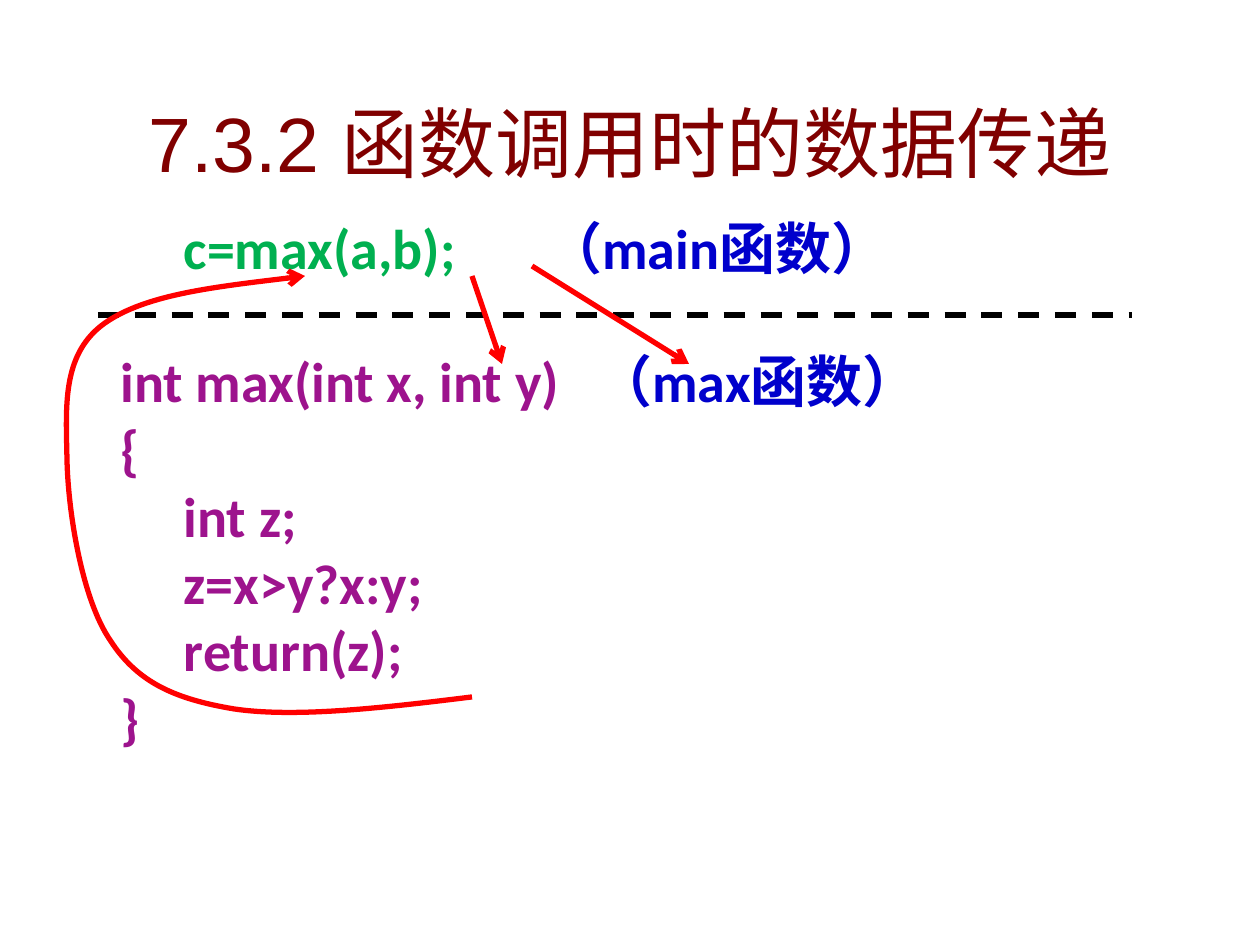
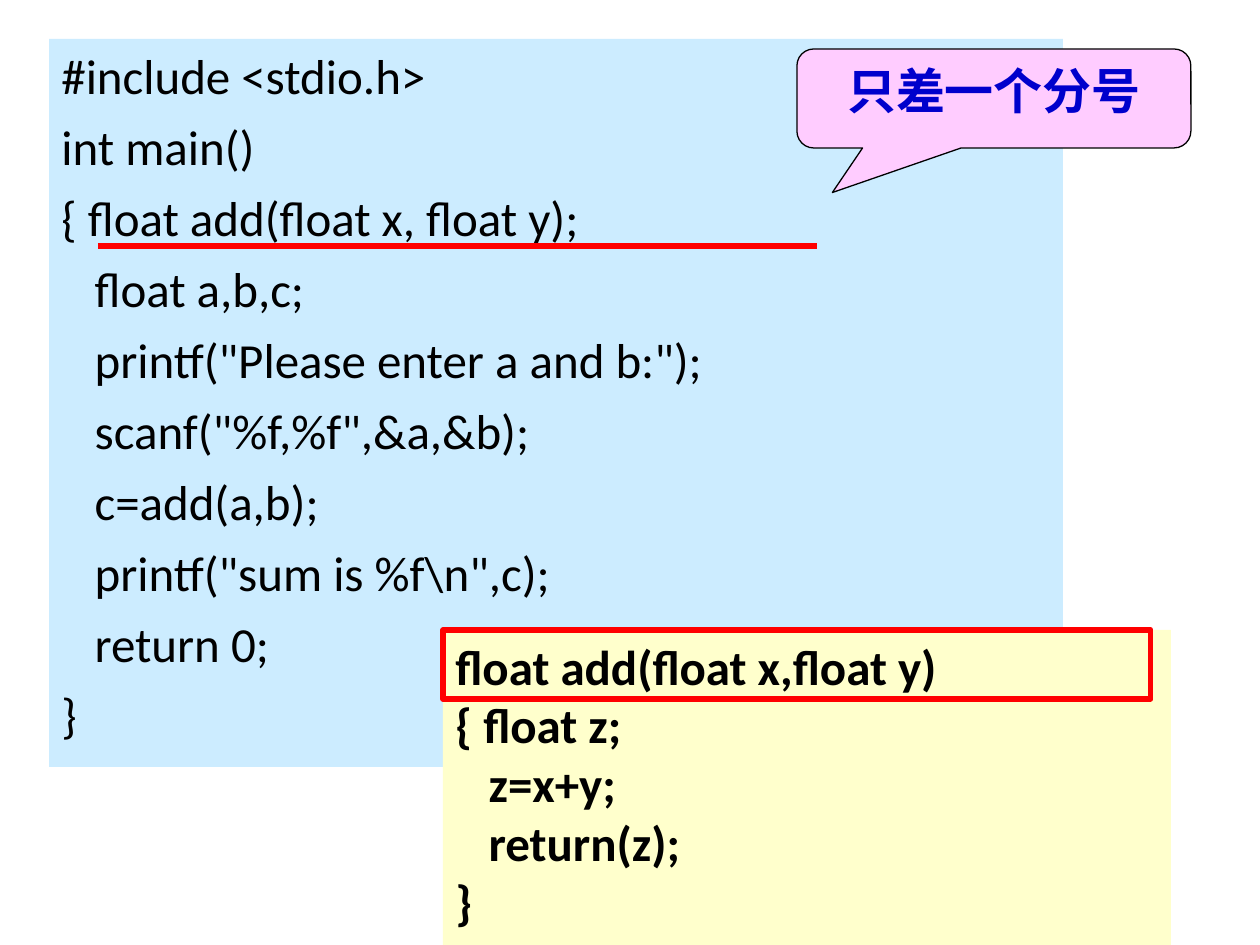
import pptx
import pptx.dml.color
import pptx.enum.dml
import pptx.enum.shapes
import pptx.enum.text
import pptx.oxml.ns
import pptx.oxml.xmlchemy
import pptx.util

PX = 914400 // 126
SHAPE = pptx.enum.shapes.MSO_SHAPE
ALIGN = pptx.enum.text.PP_ALIGN
ANCHOR = pptx.enum.text.MSO_ANCHOR

RED, BLACK, BLUE = "FF0000", "000000", "0000CC"
GREEN, PURPLE, MAROON = "00B050", "9D138D", "800000"
HEAVY = 3

# Formats
TITLE = dict(size=44, name="Arial", color=MAROON)
CALL_CODE = dict(size=32, name="Calibri", bold=True)
MAIN_CODE = dict(size=28, name="Calibri", color=BLACK)
ADD_CODE = dict(MAIN_CODE, bold=True)
NOTE = dict(size=28, name="Arial", bold=True, color=BLUE)

# Slide 1: each line is (runs, tab stop in px, space before in points)
TITLE_TEXT = "7.3.2 函数调用时的数据传递"
CALL_LINES = [
    ([("     c=max(a,b);", GREEN), ("\t（main函数）", BLUE)], 426, 0),
    ([("int max(int x, int y)", PURPLE), ("\t（max函数）", BLUE)], 476, 38),
] + [([(code, PURPLE)], None, 0) for code in (
    "{", "     int z;", "     z=x>y?x:y;", "     return(z);", "}")]
DIVIDER = (98, 315, 1132, 315)
ARGUMENT_ARROWS = [(472, 276, 502, 364), (532, 266, 689, 364)]
# Start point, then two control points and an end point for each curve
RETURN_PATH = [
    (472, 697),
    (383, 708), (295, 718), (234, 709),
    (174, 699), (137, 682), (110, 640),
    (82, 599), (68, 512), (67, 459),
    (66, 407), (62, 357), (101, 326),
    (141, 295), (223, 286), (305, 276),
]

# Slide 2
MAIN_LINES = [
    "#include <stdio.h>",
    "int main()",
    "{ float add(float x, float y);",
    "   float a,b,c;",
    "   printf(\"Please enter a and b:\");",
    "   scanf(\"%f,%f\",&a,&b);",
    "   c=add(a,b);",
    "   printf(\"sum is %f\\n\",c);",
    "   return 0;",
    "}",
]
ADD_LINES = ["float add(float x,float y)", "{ float z;", "   z=x+y;",
             "   return(z);", "}"]
NOTE_TEXT = "只差一个分号"
MAIN_BOX = (49, 39, 1014, 728)
ADD_BOX = (443, 630, 728, 315)
HEADER_FRAME = (443, 630, 708, 69)
NOTE_BOX = (797, 49, 394, 99)
DECLARATION_LINE = (98, 246, 817, 246)


def px(*values):
    return [v * PX for v in values]


def rgb(value):
    return pptx.dml.color.RGBColor.from_string(value)


def add_xml(parent, tag, **attrs):
    el = pptx.oxml.xmlchemy.OxmlElement(tag)
    for key, value in attrs.items():
        el.set(key, str(value))
    parent.append(el)
    return el


def set_font(font, formats):
    for key, value in formats.items():
        if key == "color":
            font.color.rgb = rgb(value)
        else:
            setattr(font, key, pptx.util.Pt(value) if key == "size" else value)


def set_line(sp, color, width, arrow=False):
    sp.line.color.rgb = rgb(color)
    sp.line.width = pptx.util.Pt(width)
    if arrow:
        add_xml(sp.line._get_or_add_ln(), "a:tailEnd", type="arrow")


def write(sp, lines, formats, align=ALIGN.LEFT, anchor=ANCHOR.TOP):
    """Fill a shape with (runs, tab stop, space before) lines."""
    tf = sp.text_frame
    tf.word_wrap = True
    tf.vertical_anchor = anchor
    for i, (runs, tab, before) in enumerate(lines):
        p = tf.paragraphs[0] if i == 0 else tf.add_paragraph()
        p.alignment = align
        if i and before:
            p.space_before = pptx.util.Pt(before)
        if tab:
            tabs = add_xml(p._p.get_or_add_pPr(), "a:tabLst")
            add_xml(tabs, "a:tab", pos=tab * PX, algn="l")
        for text, color in runs:
            r = p.add_run()
            r.text = text
            set_font(r.font, dict(formats, color=color))


def plain(texts, formats, before=0):
    return [([(text, formats["color"])], None, before) for text in texts]


def add_box(s, box, fill=None, line=None, kind=SHAPE.RECTANGLE):
    sp = s.shapes.add_shape(kind, *px(*box))
    sp.shadow.inherit = False
    if fill:
        sp.fill.solid()
        sp.fill.fore_color.rgb = rgb(fill)
    else:
        sp.fill.background()
    if line:
        set_line(sp, *line)
    else:
        sp.line.fill.background()
    return sp


def add_line(s, ends, color, arrow=False):
    straight = pptx.enum.shapes.MSO_CONNECTOR.STRAIGHT
    sp = s.shapes.add_connector(straight, *px(*ends))
    set_line(sp, color, HEAVY, arrow)
    add_xml(sp._element.spPr, "a:effectLst")
    return sp


def add_curve(s, points, color):
    """Draw a Bezier path by grouping every three points into one curve."""
    builder = s.shapes.build_freeform(*points[0], scale=PX)
    builder.add_line_segments(points[1:], close=False)
    sp = builder.convert_to_shape()
    sp.shadow.inherit = False
    sp.fill.background()
    set_line(sp, color, HEAVY, arrow=True)
    steps = list(sp._element.iter(pptx.oxml.ns.qn("a:lnTo")))
    path = steps[0].getparent()
    for i in range(0, len(steps), 3):
        curve = add_xml(path, "a:cubicBezTo")
        for step in steps[i:i + 3]:
            curve.append(step[0])
            path.remove(step)


def build_call_slide(s):
    sp = s.shapes.add_textbox(*px(20, 89, 1221, 106))
    write(sp, plain([TITLE_TEXT], TITLE), TITLE, ALIGN.CENTER, ANCHOR.MIDDLE)
    sp = s.shapes.add_textbox(*px(108, 207, 1082, 601))
    write(sp, CALL_LINES, CALL_CODE)
    divider = add_line(s, DIVIDER, BLACK)
    divider.line.dash_style = pptx.enum.dml.MSO_LINE.DASH
    for ends in ARGUMENT_ARROWS:
        add_line(s, ends, RED, arrow=True)
    add_curve(s, RETURN_PATH, RED)


def build_declaration_slide(s):
    write(add_box(s, MAIN_BOX, "CCECFF"),
          plain(MAIN_LINES, MAIN_CODE, before=7), MAIN_CODE)
    write(add_box(s, ADD_BOX, "FFFFCC"), plain(ADD_LINES, ADD_CODE), ADD_CODE)
    note = add_box(s, NOTE_BOX, "FFCCFF", (BLACK, 0.75),
                   SHAPE.ROUNDED_RECTANGULAR_CALLOUT)
    for i, value in enumerate((-0.41, 0.95, 0.17)):
        note.adjustments[i] = value
    write(note, plain([NOTE_TEXT], NOTE), NOTE, ALIGN.CENTER)
    add_line(s, DECLARATION_LINE, RED)
    add_box(s, HEADER_FRAME, line=(RED, HEAVY))


def main():
    prs = pptx.Presentation()
    prs.slide_width, prs.slide_height = px(1260, 945)
    for build in (build_call_slide, build_declaration_slide):
        build(prs.slides.add_slide(prs.slide_layouts[6]))
    prs.save("out.pptx")


if __name__ == "__main__":
    main()
